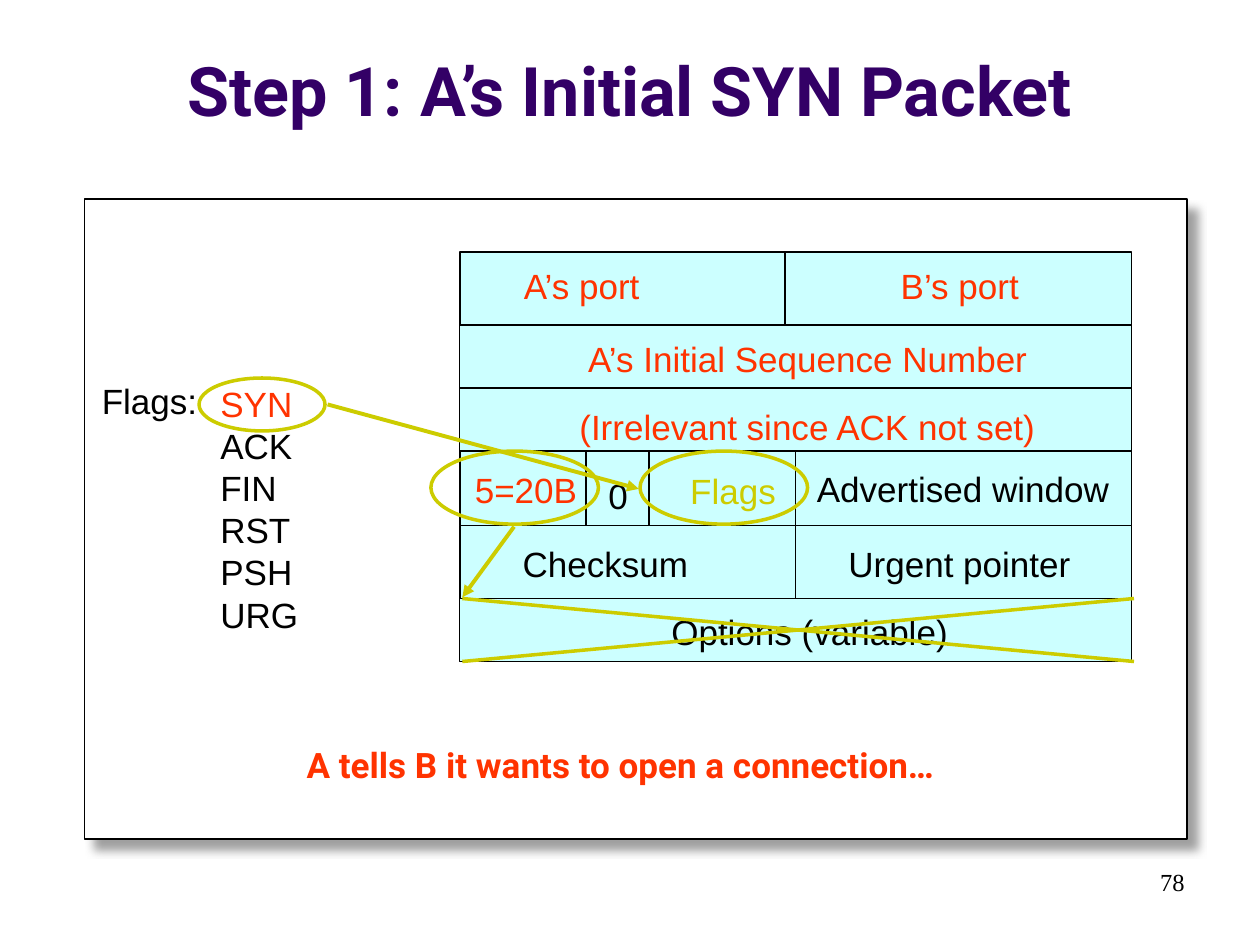
from lxml.etree import SubElement
from pptx import Presentation
from pptx.dml.color import RGBColor
from pptx.enum.shapes import MSO_CONNECTOR, MSO_SHAPE
from pptx.enum.text import MSO_ANCHOR, PP_ALIGN
from pptx.oxml.ns import qn
from pptx.util import Inches, Pt

WHITE = RGBColor(0xFF, 0xFF, 0xFF)
BLACK = RGBColor(0, 0, 0)
PURPLE = RGBColor(0x33, 0, 0x66)
RED = RGBColor(0xFF, 0x33, 0)
CYAN = RGBColor(0xCC, 0xFF, 0xFF)
OLIVE = RGBColor(0xCC, 0xCC, 0)


def add_text(slide, box, text, color=BLACK, size=20, font="Arial", bold=False,
             align=PP_ALIGN.LEFT, pitch=Pt(24)):
    """Place text in a box and return its frame."""
    frame = slide.shapes.add_textbox(*map(Inches, box)).text_frame
    frame.word_wrap = True
    frame.text = text
    for para in frame.paragraphs:
        para.alignment = align
        para.line_spacing = pitch
        for run in para.runs:
            run.font.size = Pt(size)
            run.font.name = font
            run.font.bold = bold
            run.font.color.rgb = color
    return frame


def add_form(slide, kind, box, fill, line, width):
    """Draw a preset shape, with no fill if fill is None."""
    form = slide.shapes.add_shape(kind, *map(Inches, box))
    form.shadow.inherit = False
    if fill is None:
        form.fill.background()
    else:
        form.fill.solid()
        form.fill.fore_color.rgb = fill
    form.line.color.rgb = line
    form.line.width = Pt(width)
    return form


def add_line(slide, start, end, color=BLACK, width=0.75, arrow=False):
    """Draw a straight line, with an arrowhead at its end if asked."""
    ends = map(Inches, (*start, *end))
    link = slide.shapes.add_connector(MSO_CONNECTOR.STRAIGHT, *ends)
    link.line.color.rgb = color
    link.line.width = Pt(width)
    if arrow:
        SubElement(link.line._get_or_add_ln(), qn("a:tailEnd"), type="triangle")
    SubElement(link._element.spPr, qn("a:effectLst"))


def add_panel(slide, box):
    """Draw the white panel with its soft shadow."""
    panel = add_form(slide, MSO_SHAPE.RECTANGLE, box, WHITE, BLACK, 0.75)
    effects = panel._element.spPr.find(qn("a:effectLst"))
    shade = SubElement(effects, qn("a:outerShdw"), blurRad=str(Pt(5)),
                       dist=str(Pt(8.5)), dir="2700000", algn="ctr", rotWithShape="0")
    tint = SubElement(shade, qn("a:srgbClr"), val="808080")
    SubElement(tint, qn("a:alpha"), val="75000")


def add_header(slide, box):
    """Draw the packet header as rows of cells with their labels."""
    left, top, width, _ = box
    half = width / 2
    rows = [
        (0.58, [(2.58, [("A’s port", RED, 0.41, 0.05, 1.3)]),
                (2.75, [("B’s port", RED, 0.82, 0.05, 1.3)])]),
        (0.5, [(width, [("A’s Initial Sequence Number", RED, 0.92, 0.05, 3.9)])]),
        (0.5, [(width, [("(Irrelevant since ACK not set)", RED, 0.85, 0.09, 4)])]),
        (0.59, [(half, [("5=20B", RED, 0.02, 0.09, 1.17),
                        ("0", BLACK, 1.08, 0.14, 0.4),
                        ("Flags", OLIVE, 1.73, 0.1, 0.93)]),
                (half, [("Advertised window", BLACK, 0.07, 0.08, 2.6)])]),
        (0.58, [(half, [("Checksum", BLACK, 0.4, 0.09, 1.8)]),
                (half, [("Urgent pointer", BLACK, 0.32, 0.09, 2.2)])]),
        (0.5, [(width, [("Options (variable)", BLACK, 1.58, 0.05, 2.7)])]),
    ]
    for high, cells in rows:
        x = left
        for wide, labels in cells:
            add_form(slide, MSO_SHAPE.RECTANGLE, (x, top, wide, high), CYAN, BLACK, 0.75)
            for text, color, dx, dy, span in labels:
                add_text(slide, (x + dx, top + dy, span, 0.43), text, color)
            x += wide
        top += high
    for x in (left + 1, left + 1.5):
        add_line(slide, (x, box[1] + 1.58), (x, box[1] + 2.17))


def add_flags(slide, box):
    """List the flag names, the first one in red."""
    left, top, width, high = box
    add_text(slide, (left, top, 1, 0.43), "Flags:")
    names = add_text(slide, (left + 0.94, top + 0.03, width - 0.94, high),
                     "SYN\nACK\nFIN\nRST\nPSH\nURG")
    names.paragraphs[0].runs[0].font.color.rgb = RED


def add_marks(slide, box):
    """Ring the key fields, point to them and cross out the options."""
    left, top, width, high = box
    low = top + high
    rings = [(left + 1.43, 3.58, 1.33, 0.58), (1.58, 3, 1, 0.42),
             (left - 0.23, 3.58, 1.33, 0.58)]
    for ring in rings:
        add_form(slide, MSO_SHAPE.OVAL, ring, None, OLIVE, 2)
    near, far = left + 0.02, left + width + 0.02
    add_line(slide, (near, low - 0.5), (far, low), OLIVE, 2)
    add_line(slide, (near, low), (far, low - 0.5), OLIVE, 2)
    add_line(slide, (2.6, 3.21), (left + 1.42, 3.88), OLIVE, 2.25, True)
    add_line(slide, (left + 0.43, 4.18), (near, low - 0.51), OLIVE, 2.25, True)


def main():
    """Build and save the slide."""
    deck = Presentation()
    deck.slide_width, deck.slide_height = Inches(10), Inches(7.5)
    slide = deck.slides.add_slide(deck.slide_layouts[6])
    title = add_text(slide, (0, 0.13, 10, 0.95), "Step 1: A’s Initial SYN Packet",
                     PURPLE, 39, "Roboto", True, PP_ALIGN.CENTER, 1.0)
    title.vertical_anchor = MSO_ANCHOR.BOTTOM
    add_text(slide, (7.17, 6.83, 2.33, 0.5), "78", BLACK, 14, "Times New Roman",
             align=PP_ALIGN.RIGHT, pitch=1.0)
    add_panel(slide, (0.67, 1.58, 8.75, 5.08))
    header = (3.65, 2, 5.33, 3.25)
    add_header(slide, header)
    add_flags(slide, (0.71, 2.96, 2, 2.1))
    add_text(slide, (2.04, 5.85, 5.77, 0.43), "A tells B it wants to open a connection…",
             RED, 20, "Roboto", True, PP_ALIGN.CENTER)
    add_marks(slide, header)
    deck.save("out.pptx")


if __name__ == "__main__":
    main()
